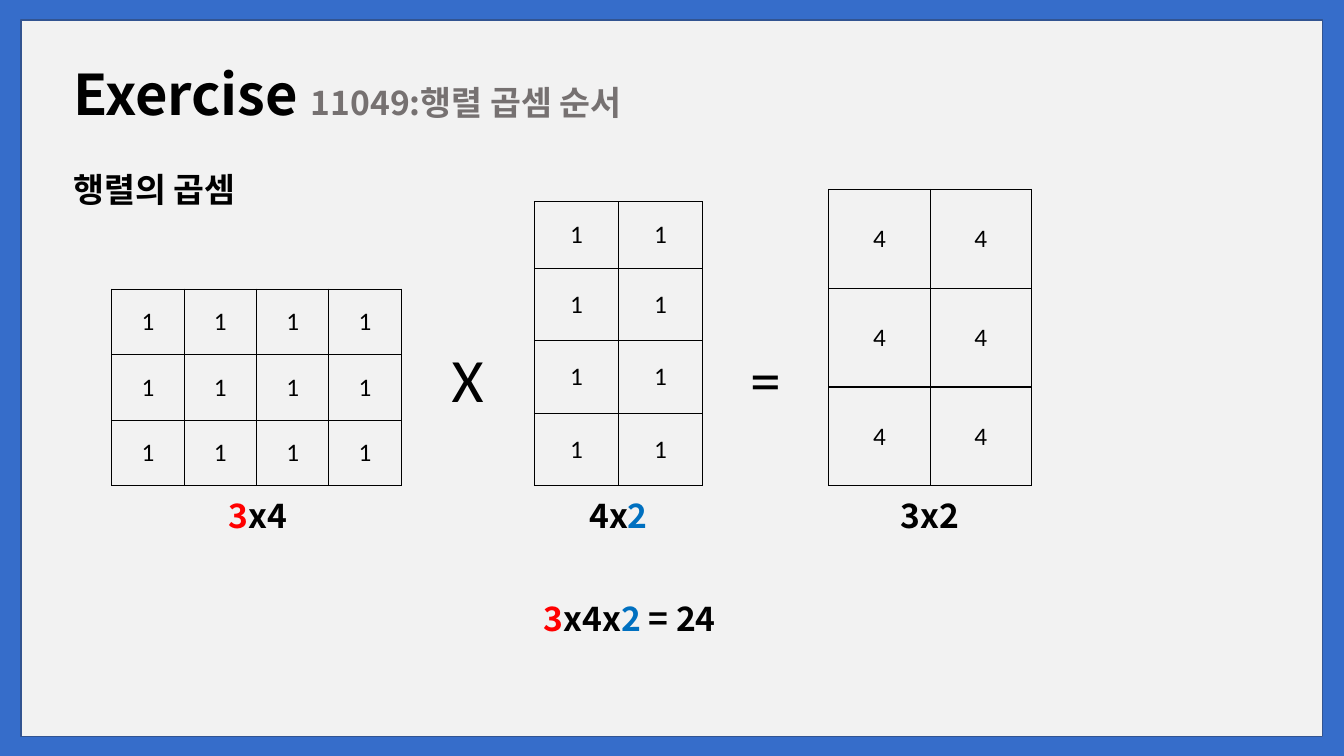
from lxml.etree import SubElement
from pptx import Presentation
from pptx.dml.color import RGBColor
from pptx.enum.shapes import MSO_SHAPE as Preset
from pptx.enum.text import MSO_ANCHOR as Anchor, MSO_AUTO_SIZE as AutoSize, PP_ALIGN as Align
from pptx.oxml.ns import qn
from pptx.util import Inches, Pt

HEADING_FONT = "Noto Sans CJK KR"
BODY_FONT = "Calibri"
BLACK, RED, BLUE, GRAY = "000000", "FF0000", "0070C0", "767171"
MATRIX_BOTTOM = 4.82


def color(value):
    return RGBColor.from_string(value)


def add_run(paragraph, text, size, font, text_color=BLACK, bold=False):
    run = paragraph.add_run()
    run.text = text
    run.font.size = Pt(size)
    run.font.name = font
    run.font.bold = bold
    run.font.color.rgb = color(text_color)
    SubElement(run.font._element, qn("a:ea"), typeface=font)


def add_text(slide, box, runs, align=Align.LEFT, anchor=Anchor.BOTTOM, spacing=0.9):
    frame = slide.shapes.add_textbox(*map(Inches, box)).text_frame
    frame.word_wrap = True
    frame.vertical_anchor = anchor
    paragraph = frame.paragraphs[0]
    paragraph.alignment = align
    paragraph.line_spacing = spacing
    for text, size, text_color in runs:
        add_run(paragraph, text, size, HEADING_FONT, text_color, bold=True)


def add_size_label(slide, box, parts):
    runs = [(text, 24, text_color) for text, text_color in parts]
    add_text(slide, box, runs, Align.CENTER)


def add_operator(slide, left, width, symbol):
    box = slide.shapes.add_textbox(Inches(left), Inches(3.33), Inches(width), Inches(0.84))
    box.text_frame.word_wrap = False
    box.text_frame.auto_size = AutoSize.SHAPE_TO_FIT_TEXT
    add_run(box.text_frame.paragraphs[0], symbol, 44, BODY_FONT)


def add_borders(cell):
    properties = cell._tc.get_or_add_tcPr()
    for side in ("lnL", "lnR", "lnT", "lnB"):
        line = SubElement(properties, qn(f"a:{side}"), w=str(Pt(1)))
        fill = SubElement(line, qn("a:solidFill"))
        SubElement(fill, qn("a:srgbClr"), val=BLACK)


def add_matrix(slide, left, width, column_count, row_heights, value):
    height = sum(row_heights)
    table = slide.shapes.add_table(
        len(row_heights), column_count, Inches(left), Inches(MATRIX_BOTTOM - height),
        Inches(width), Inches(height)).table
    table.first_row = False
    table.horz_banding = False
    for column in table.columns:
        column.width = Inches(width / column_count)
    for row, row_height in zip(table.rows, row_heights):
        row.height = Inches(row_height)
        for cell in row.cells:
            add_borders(cell)
            cell.fill.background()
            cell.vertical_anchor = Anchor.MIDDLE
            paragraph = cell.text_frame.paragraphs[0]
            paragraph.alignment = Align.CENTER
            add_run(paragraph, value, 18, BODY_FONT)


def add_panel(slide):
    panel = slide.shapes.add_shape(
        Preset.RECTANGLE, Inches(0.21), Inches(0.2), Inches(12.91), Inches(7.11))
    panel.shadow.inherit = False
    panel.fill.solid()
    panel.fill.fore_color.rgb = color("F2F2F2")
    panel.line.color.rgb = color("325491")
    panel.line.width = Pt(1)


def main():
    presentation = Presentation()
    presentation.slide_width = Inches(13.33)
    presentation.slide_height = Inches(7.5)
    slide = presentation.slides.add_slide(presentation.slide_layouts[6])
    slide.background.fill.solid()
    slide.background.fill.fore_color.rgb = color("366DCA")

    add_panel(slide)
    add_text(slide, (0.63, 0.47, 11, 0.85),
             [("Exercise ", 40, BLACK), ("11049:행렬 곱셈 순서", 24, GRAY)])
    add_text(slide, (0.63, 1.43, 11.24, 0.65), [("행렬의 곱셈", 24, BLACK)],
             anchor=Anchor.TOP, spacing=1.5)

    add_matrix(slide, 1.11, 2.87, 4, [0.65] * 3, "1")
    add_matrix(slide, 5.3, 1.67, 2, [0.66] + [0.72] * 3, "1")
    add_matrix(slide, 8.22, 2.01, 2, [0.98] * 3, "4")
    add_operator(slide, 4.38, 0.52, "X")
    add_operator(slide, 7.34, 0.51, "=")

    size_labels = [
        (1.72, [("3", RED), ("x4", BLACK)]),
        (5.3, [("4x", BLACK), ("2", BLUE)]),
        (8.39, [("3x2", BLACK)]),
    ]
    for left, parts in size_labels:
        add_size_label(slide, (left, MATRIX_BOTTOM, 1.67, 0.54), parts)
    add_size_label(slide, (4.69, 5.74, 3.11, 0.65),
                   [("3", RED), ("x4x", BLACK), ("2", BLUE), (" = 24", BLACK)])

    presentation.save("out.pptx")


if __name__ == "__main__":
    main()
